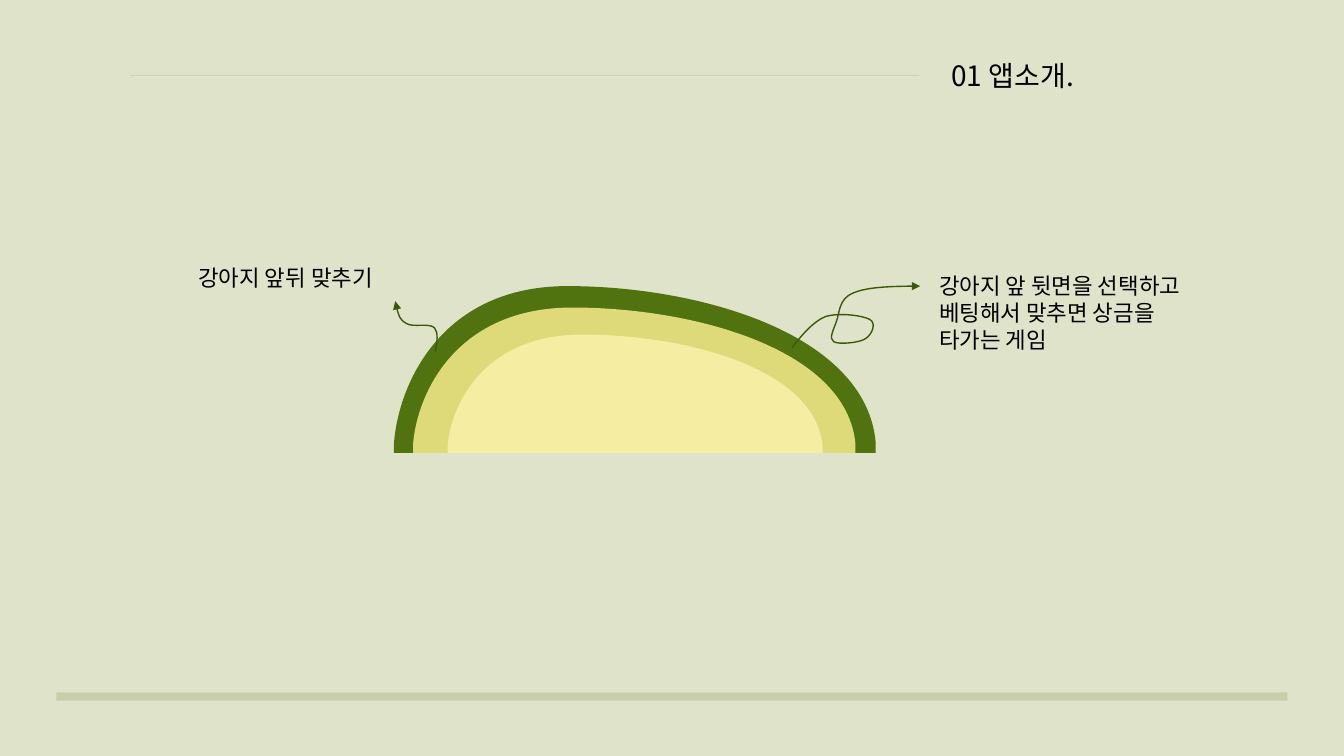
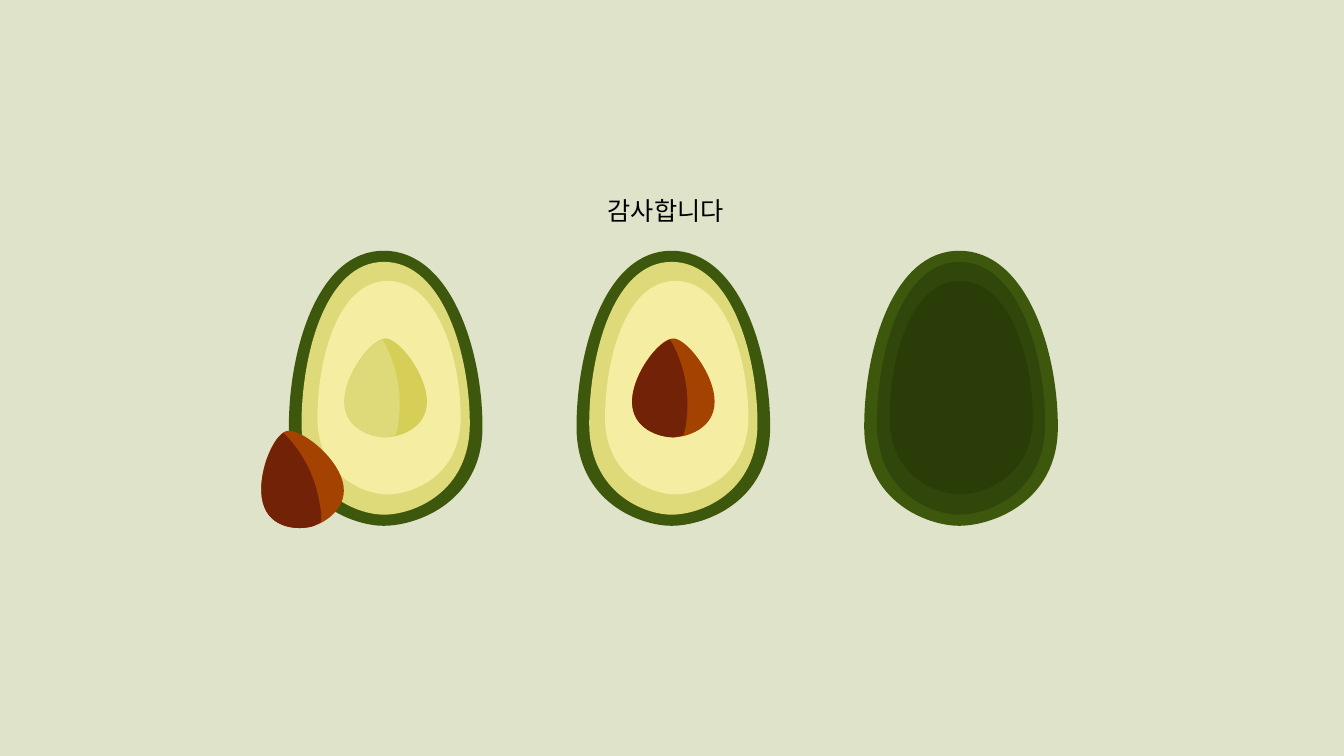
from math import cos, radians, sin

from lxml import etree
from pptx import Presentation
from pptx.dml.color import RGBColor
from pptx.enum.shapes import MSO_CONNECTOR
from pptx.enum.text import MSO_ANCHOR, MSO_AUTO_SIZE, PP_ALIGN
from pptx.oxml.ns import qn
from pptx.util import Cm, Pt

STRAIGHT = MSO_CONNECTOR.STRAIGHT
TOP = MSO_ANCHOR.TOP
LEFT = PP_ALIGN.LEFT
NO_AUTOFIT = MSO_AUTO_SIZE.NONE
TITLE_ONLY = 5
FONT = "Noto Sans CJK KR"
LINE_HEIGHT = 1.2

COLORS = {
    "background": "DFE3C9", "text": "000000", "line": "3D580C",
    "skin": "3D580C", "light_skin": "50730F", "flesh": "DEDA79", "core": "F4EDA2",
    "dark_flesh": "31460A", "dark_core": "2A3D09",
    "seed": "A44202", "seed_shade": "722207", "hollow": "D5CF57",
}

# Outlines in a unit box: a start, then lines (one point) and curves (three points)
EGG = [[(0, .64)],
       [(0, .365), (.145, 0), (.49, 0)], [(.84, 0), (1, .365), (1, .64)],
       [(1, .915), (.66, 1), (.49, 1)], [(.33, 1), (0, .915), (0, .64)]]
HALF_EGG = [[(1, 1)], [(0, 1)], [(0, .94)],
            [(.01, .58), (.1, 0), (.36, 0)], [(.63, 0), (.98, .28), (1, .94)]]
SEED = [[(0, .64)],
        [(0, .36), (.33, 0), (.5, 0)], [(.66, 0), (1, .36), (1, .64)],
        [(1, .915), (.66, 1), (.5, 1)], [(.33, 1), (0, .915), (0, .64)]]
SEED_SHADE = [[(.46, .01)], [(.5, .07)],
              [(.61, .25), (.67, .45), (.67, .66)], [(.67, .74), (.66, .82), (.65, .89)],
              [(.62, .98)], [(.56, .99)], [(.54, 1), (.51, 1), (.5, 1)],
              [(.33, 1), (0, .915), (0, .64)], [(0, .4), (.26, .09), (.43, .02)]]

# Pointer paths in centimetres
SHORT_POINTER = [[(10.97, 8.86)],
                 [(11.02, 8.61), (11.05, 8.38), (10.95, 8.26)],
                 [(10.82, 8.13), (10.39, 8.26), (10.24, 8.15)],
                 [(10.06, 8.05), (10.01, 7.82), (9.96, 7.59)]]
LOOPED_POINTER = [[(19.96, 8.76)],
                  [(20.22, 8.43), (20.5, 8.1), (20.8, 7.98)],
                  [(21.13, 7.87), (21.74, 7.95), (21.92, 8.05)],
                  [(22.1, 8.15), (21.97, 8.43), (21.82, 8.53)],
                  [(21.67, 8.64), (21.13, 8.69), (21.01, 8.61)],
                  [(20.88, 8.53), (21.01, 8.31), (21.08, 8.1)],
                  [(21.16, 7.9), (21.13, 7.54), (21.49, 7.39)],
                  [(21.82, 7.24), (22.5, 7.21), (23.19, 7.21)]]

FRUIT_LEFT, FRUIT_TOP, FRUIT_PITCH = 7.28, 6.32, 7.25
SEED_SIZE = (2.08, 2.49)


def rgb(name):
    return RGBColor.from_string(COLORS[name])


def add_path(slide, outline, close):
    """Add a freeform, then join the corners of each curve into one Bézier."""
    corners = [(Cm(x), Cm(y)) for segment in outline for x, y in segment]
    builder = slide.shapes.build_freeform(*corners[0], scale=1.0)
    builder.add_line_segments(corners[1:], close=close)
    area = builder.convert_to_shape()
    area.shadow.inherit = False
    steps = iter(list(area._element.iter(qn("a:lnTo"))))
    for segment in outline[1:]:
        step = next(steps)
        if len(segment) == 3:
            step.tag = qn("a:cubicBezTo")
            for _ in range(2):
                control = next(steps)
                step.append(control[0])
                control.getparent().remove(control)
    return area


def add_outline(slide, outline, box, color, angle=0):
    """Fit a unit outline to a box in cm, turned about the centre of the box."""
    left, top, width, height = box
    turn = radians(angle)

    def place(x, y):
        dx, dy = (x - .5) * width, (y - .5) * height
        return (left + width / 2 + dx * cos(turn) - dy * sin(turn),
                top + height / 2 + dx * sin(turn) + dy * cos(turn))

    placed = [[place(*point) for point in segment] for segment in outline]
    area = add_path(slide, placed, True)
    area.fill.solid()
    area.fill.fore_color.rgb = rgb(color)
    area.line.fill.background()


def add_pointer(slide, outline):
    pointer = add_path(slide, outline, False)
    pointer.fill.background()
    pointer.line.color.rgb = rgb("line")
    pointer.line.width = Pt(1)
    outline_properties = pointer._element.spPr.find(qn("a:ln"))
    etree.SubElement(outline_properties, qn("a:tailEnd"), type="triangle")


def add_rule(slide, left, right, y, weight, opacity):
    rule = slide.shapes.add_connector(STRAIGHT, Cm(left), Cm(y), Cm(right), Cm(y))
    rule.line.color.rgb = rgb("line")
    rule.line.width = Pt(weight)
    properties = rule._element.spPr
    color = properties.find(".//" + qn("a:srgbClr"))
    etree.SubElement(color, qn("a:alpha"), val=str(opacity * 1000))
    etree.SubElement(properties, qn("a:effectLst"))


def write_text(box, text, size, wrap):
    frame = box.text_frame
    frame.text = text
    frame.word_wrap = wrap
    frame.auto_size = NO_AUTOFIT
    frame.vertical_anchor = TOP
    paragraph = frame.paragraphs[0]
    paragraph.alignment = LEFT
    paragraph.line_spacing = Pt(size * LINE_HEIGHT)
    font = paragraph.runs[0].font
    font.name, font.size, font.color.rgb = FONT, Pt(size), rgb("text")
    latin = font._element.find(qn("a:latin"))
    latin.addnext(latin.makeelement(qn("a:ea"), {"typeface": FONT}))


def add_titled_slide(deck, text, box, size):
    slide = deck.slides.add_slide(deck.slide_layouts[TITLE_ONLY])
    title = slide.shapes.title
    title.left, title.top, title.width, title.height = map(Cm, box)
    write_text(title, text, size, wrap=False)
    return slide


def add_label(slide, text, box):
    write_text(slide.shapes.add_textbox(*map(Cm, box)), text, 16, wrap=True)


def add_seed(slide, left, top, color, shade, angle=0):
    for outline, fill in ((SEED, color), (SEED_SHADE, shade)):
        add_outline(slide, outline, (left, top, *SEED_SIZE), fill, angle)


def add_avocado(slide, position, flesh, core, core_inset=.72):
    """Draw skin, flesh and core, and return the left edge of the skin."""
    left = FRUIT_LEFT + position * FRUIT_PITCH
    layers = ((0, 0, 4.88, 6.93, "skin"),
              (.32, .28, 4.24, 6.37, flesh),
              (core_inset, .76, 3.61, 5.38, core))
    for dx, dy, width, height, color in layers:
        add_outline(slide, EGG, (left + dx, FRUIT_TOP + dy, width, height), color)
    return left


def build_intro(deck):
    slide = add_titled_slide(deck, "01 앱소개.", (23.72, 1.35, 3.84, 1.12), 20)
    add_rule(slide, 3.28, 23.16, 1.91, .25, 30)
    add_rule(slide, 1.42, 32.44, 17.55, 6, 15)

    # Halved avocado, all layers resting on one base line
    base = 11.41
    for left, width, height, color in ((9.93, 12.14, 4.2, "light_skin"),
                                       (10.41, 11.15, 3.66, "flesh"),
                                       (11.28, 9.45, 2.98, "core")):
        add_outline(slide, HALF_EGG, (left, base - height, width, height), color)

    # Descriptions with pointers
    add_pointer(slide, LOOPED_POINTER)
    add_label(slide, "강아지 앞 뒷면을 선택하고 베팅해서 맞추면 상금을 타가는 게임",
              (23.42, 6.73, 6.83, 2.31))
    add_pointer(slide, SHORT_POINTER)
    add_label(slide, "강아지 앞뒤 맞추기", (4.75, 6.53, 6.1, .94))


def build_thanks(deck):
    slide = add_titled_slide(deck, "감사합니다", (15.06, 4.8, 3.71, 1.02), 18)

    # Two open avocados, the first with its seed fallen out
    for position, seed, shade in ((0, "hollow", "flesh"), (1, "seed", "seed_shade")):
        left = add_avocado(slide, position, "flesh", "core")
        add_seed(slide, left + 1.4, FRUIT_TOP + 2.21, seed, shade)
    add_seed(slide, 6.5, 10.82, "seed", "seed_shade", angle=-15)

    # Closed avocado
    add_avocado(slide, 2, "dark_flesh", "dark_core", core_inset=.64)


def main():
    deck = Presentation()
    deck.slide_width, deck.slide_height = Cm(33.87), Cm(19.05)
    backdrop = deck.slide_master.background.fill
    backdrop.solid()
    backdrop.fore_color.rgb = rgb("background")
    build_intro(deck)
    build_thanks(deck)
    deck.save("out.pptx")


if __name__ == "__main__":
    main()
